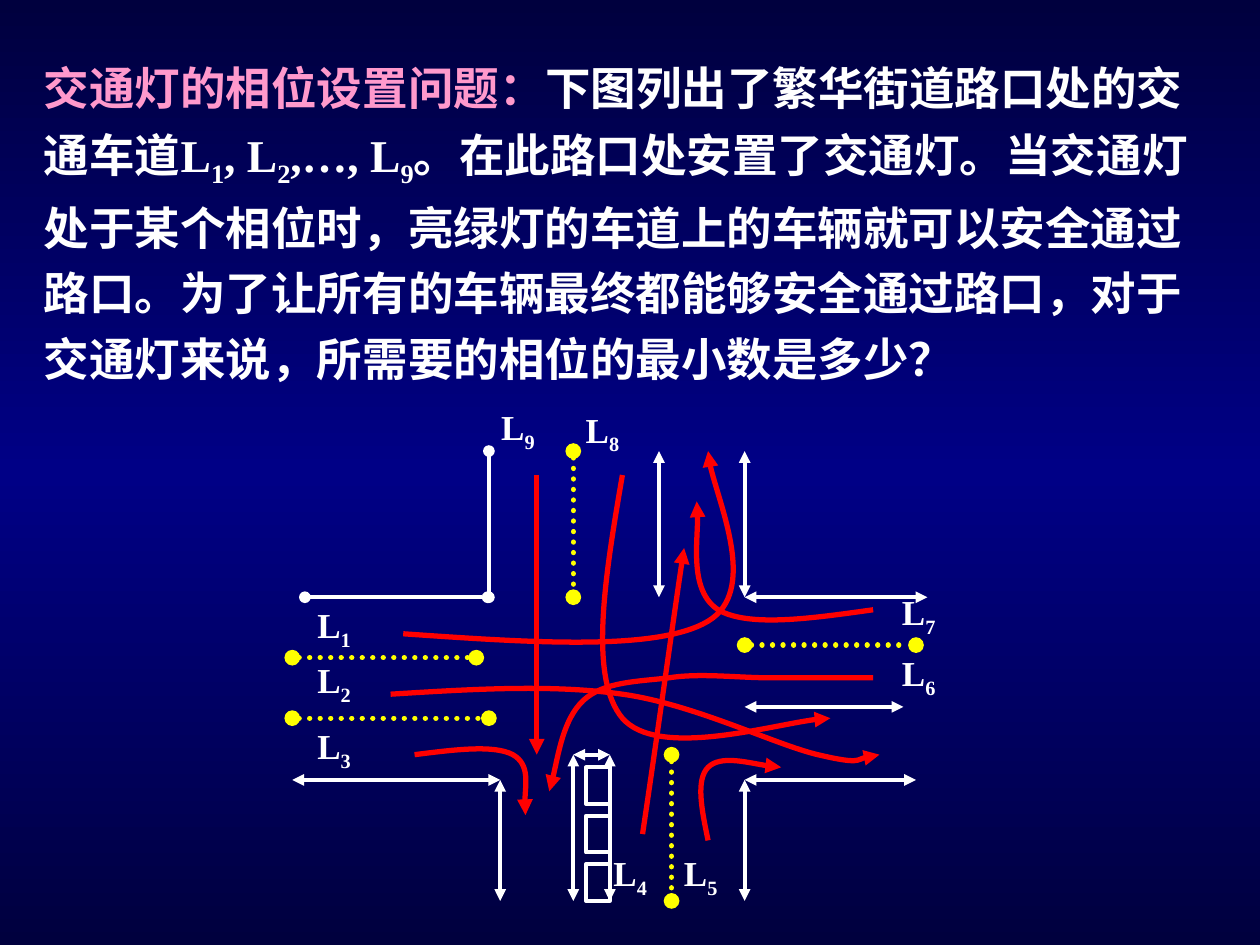
from copy import deepcopy

from lxml import etree
from pptx import Presentation
from pptx import util as u
from pptx.dml.color import RGBColor
from pptx.enum import dml, shapes, text
from pptx.oxml.ns import qn

COLORS = {"edge": "00003E", "middle": "000086", "heading": "FF99CC",
          "white": "FFFFFF", "divider": "FFFF00", "route": "FF0000"}
FONT = "Times New Roman"

ROAD_EDGES = [
    (1.56, 0.41, 1.56, 1.57, "oval"), (0.10, 1.57, 1.55, 1.57, "oval"),
    (0, 3.02, 1.65, 3.02, "triangle"), (1.65, 3.02, 1.65, 3.98, "triangle"),
    (2.91, 0.41, 2.91, 1.57, "triangle"), (3.59, 0.41, 3.59, 1.57, "triangle"),
    (3.59, 1.57, 5.04, 1.57, "triangle"), (3.59, 2.44, 4.85, 2.44, "triangle"),
    (3.59, 3.02, 4.95, 3.02, "triangle"), (3.59, 3.02, 3.59, 3.98, "triangle"),
    (2.23, 2.82, 2.23, 3.98, "triangle"), (2.23, 2.82, 2.52, 2.82, "triangle"),
    (2.52, 2.82, 2.52, 3.98, "triangle"),
]
LANE_DIVIDERS = [
    (0, 2.05, 1.46, 2.05), (0, 2.53, 1.56, 2.53), (2.23, 0.41, 2.23, 1.57),
    (3.59, 1.95, 4.95, 1.95), (3.01, 2.82, 3.01, 3.98),
]
LANE_LABELS = {
    "1": (0.10, 1.57), "2": (0.10, 2.01), "3": (0.10, 2.53),
    "4": (2.45, 3.54), "5": (3.01, 3.54), "6": (4.74, 1.95),
    "7": (4.74, 1.47), "8": (2.23, 0.02), "9": (1.56, 0),
}
ROUTES = [
    [(0.78, 2.34), (1.42, 2.30), (2.06, 2.26), (2.62, 2.34),
     (3.19, 2.42), (3.83, 2.74), (4.17, 2.82), (4.51, 2.90), (4.57, 2.82), (4.66, 2.82)],
    [(0.97, 2.82), (1.29, 2.78), (1.60, 2.74), (1.75, 2.82),
     (1.89, 2.90), (1.83, 3.22), (1.85, 3.30)],
    [(4.61, 2.21), (4.34, 2.21), (4.07, 2.21), (3.80, 2.21),
     (3.53, 2.21), (3.24, 2.17), (2.99, 2.21), (2.74, 2.24), (2.47, 2.24), (2.31, 2.39),
     (2.15, 2.54), (2.08, 2.99), (2.04, 3.11)],
    [(3.30, 3.50), (3.25, 3.26), (3.20, 3.02), (3.30, 2.92),
     (3.40, 2.82), (3.78, 2.92), (3.88, 2.92)],
    [(2.62, 0.60), (2.48, 1.41), (2.35, 2.21), (2.62, 2.53),
     (2.90, 2.85), (3.99, 2.53), (4.27, 2.53)],
    [(4.61, 1.67), (4.11, 1.74), (3.62, 1.81), (3.38, 1.67),
     (3.15, 1.52), (3.24, 0.95), (3.21, 0.81)],
    [(2.78, 3.45), (2.92, 2.51), (3.05, 1.56), (3.11, 1.18)],
    [(0.88, 1.86), (1.89, 1.93), (2.90, 2.00), (3.30, 1.76),
     (3.70, 1.52), (3.30, 0.63), (3.30, 0.41)],
]


def rgb(name):
    """Look up a palette colour."""
    return RGBColor.from_string(COLORS[name])


def style_line(sp, color, width, head=None, tail=None, dotted=False):
    """Set stroke colour, width, dots and line ends."""
    sp.line.color.rgb = rgb(color)
    sp.line.width = u.Pt(width)
    ln = sp.line._get_or_add_ln()
    if dotted:
        sp.line.dash_style = dml.MSO_LINE.ROUND_DOT
        ln.set("cap", "rnd")
    for tag, end in (("a:headEnd", head), ("a:tailEnd", tail)):
        if end:
            etree.SubElement(ln, qn(tag), type=end)


def add_line(group, box, ends, color, width, head, tail, dotted=False):
    """Draw a straight connector inside the box."""
    x1, y1, x2, y2 = (u.Inches(box[i % 2] + v) for i, v in enumerate(ends))
    line = group.shapes.add_connector(shapes.MSO_CONNECTOR.STRAIGHT, x1, y1, x2, y2)
    style_line(line, color, width, head, tail, dotted)
    etree.SubElement(line.element.spPr, qn("a:effectLst"))


def add_route(group, box, points):
    """Draw a red arrow along cubic Bézier control points."""
    pts = [(u.Inches(box[0] + x), u.Inches(box[1] + y)) for x, y in points]
    builder = group.shapes.build_freeform(*pts[0])
    builder.add_line_segments(pts[1:], close=False)
    sp = builder.convert_to_shape()
    segments = list(sp.element.iter(qn("a:lnTo")))
    outline = segments[0].getparent()
    for i in range(0, len(segments), 3):
        curve = etree.SubElement(outline, qn("a:cubicBezTo"))
        for segment in segments[i:i + 3]:
            curve.append(segment[0])
            outline.remove(segment)
    sp.fill.background()
    sp.shadow.inherit = False
    style_line(sp, "route", 3, tail="triangle")


def add_run(p, words, size, color="white", subscript=False):
    """Append one bold run, optionally as a subscript."""
    r = p.add_run()
    r.text = words
    r.font.size, r.font.bold, r.font.name = u.Pt(size), True, FONT
    r.font.color.rgb = rgb(color)
    if subscript:
        r.font._element.set("baseline", "-25000")


def add_textbox(parent, box):
    """Add a wrapping text box and return its first paragraph."""
    tf = parent.shapes.add_textbox(*map(u.Inches, box)).text_frame
    tf.word_wrap = True
    tf.auto_size = text.MSO_AUTO_SIZE.SHAPE_TO_FIT_TEXT
    return tf.paragraphs[0]


def paint_background(s):
    """Fill the slide with a vertical three-stop gradient."""
    fill = s.background.fill
    fill.gradient()
    fill.gradient_angle = 270
    stop_list = next(s.element.iter(qn("a:gsLst")))
    stop_list.insert(1, deepcopy(stop_list[0]))
    for stop, position, color in zip(fill.gradient_stops, (0, 0.5, 1),
                                     ("edge", "middle", "edge")):
        stop.position = position
        stop.color.rgb = rgb(color)


def add_problem(s, box):
    """Write the problem statement."""
    p = add_textbox(s, box)
    p.line_spacing = 1.2
    add_run(p, "交通灯的相位设置问题：", 26, "heading")
    for words, index in (("下图列出了繁华街道路口处的交通车道L", "1"),
                         (", L", "2"), (",…, L", "9")):
        add_run(p, words, 26)
        add_run(p, index, 26, subscript=True)
    add_run(p, "。在此路口处安置了交通灯。当交通灯处于某个相位时，亮绿灯的车道上的车辆"
               "就可以安全通过路口。为了让所有的车辆最终都能够安全通过路口，对于交通灯来说，"
               "所需要的相位的最小数是多少？", 26)


def add_crossing(s, box):
    """Draw the road crossing with its lanes and routes."""
    left, top = box[:2]
    group = s.shapes.add_group_shape()
    for *ends, tip in ROAD_EDGES:
        add_line(group, box, ends, "white", 2.25, tip, tip)
    for ends in LANE_DIVIDERS:
        add_line(group, box, ends, "divider", 3, "oval", "oval", dotted=True)
    for row in range(3):
        island = group.shapes.add_shape(
            shapes.MSO_SHAPE.RECTANGLE, u.Inches(left + 2.33),
            u.Inches(top + 2.92 + 0.385 * row), u.Inches(0.19), u.Inches(0.29))
        island.fill.background()
        island.shadow.inherit = False
        style_line(island, "white", 2.25)
    for index, (x, y) in LANE_LABELS.items():
        p = add_textbox(group, (left + x, top + y, 0.7, 0.48))
        add_run(p, "L", 20)
        add_run(p, index, 20, subscript=True)
    add_line(group, box, (1.94, 0.60, 1.94, 2.82), "route", 3, None, "triangle")
    for points in ROUTES:
        add_route(group, box, points)


def main():
    """Build and save the slide."""
    prs = Presentation()
    prs.slide_width, prs.slide_height = u.Inches(10), u.Inches(7.5)
    s = prs.slides.add_slide(prs.slide_layouts[6])
    paint_background(s)
    add_problem(s, (0.25, 0.34, 9.48, 2.77))
    add_crossing(s, (2.32, 3.17, 5.44, 4.02))
    prs.save("out.pptx")


if __name__ == "__main__":
    main()
